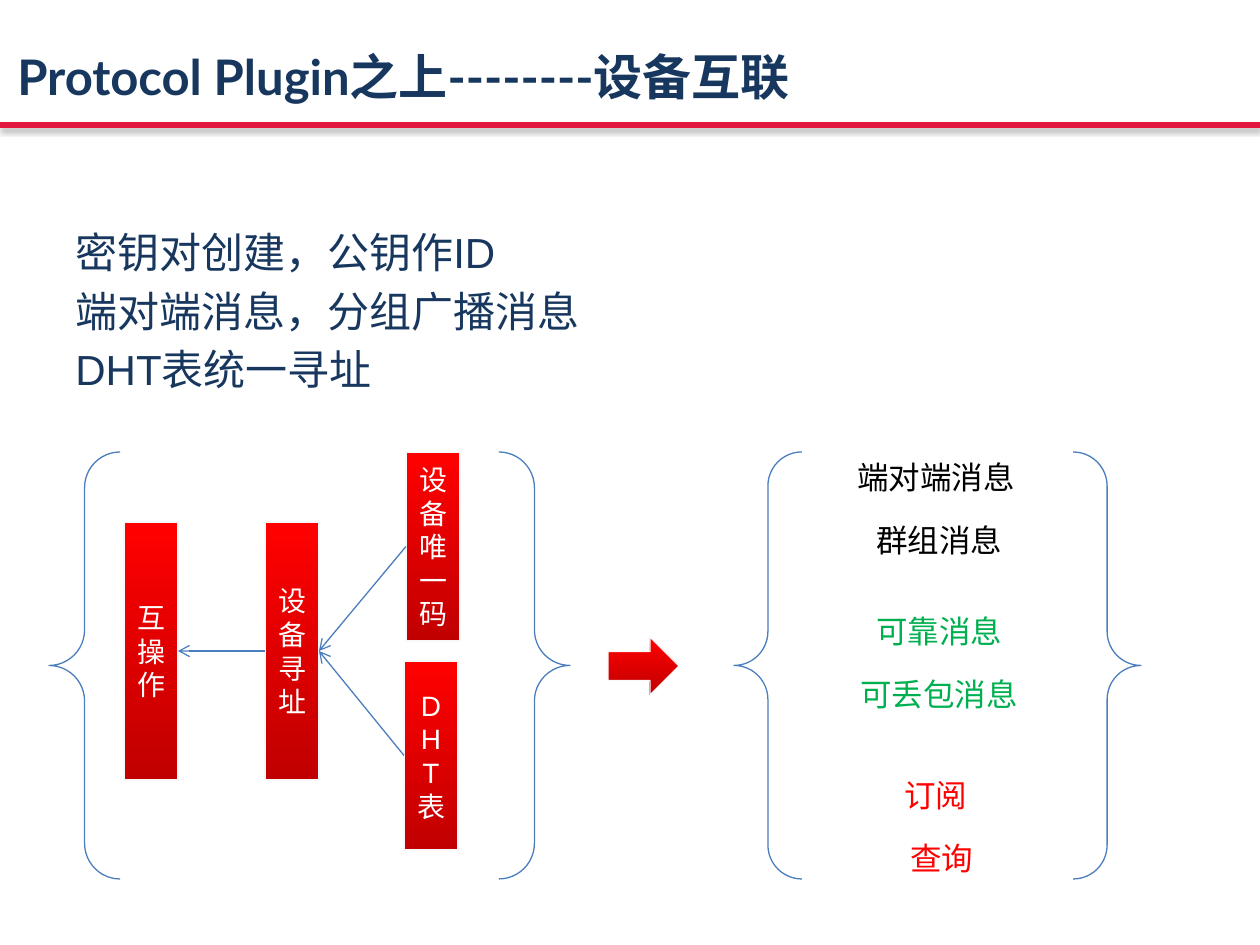
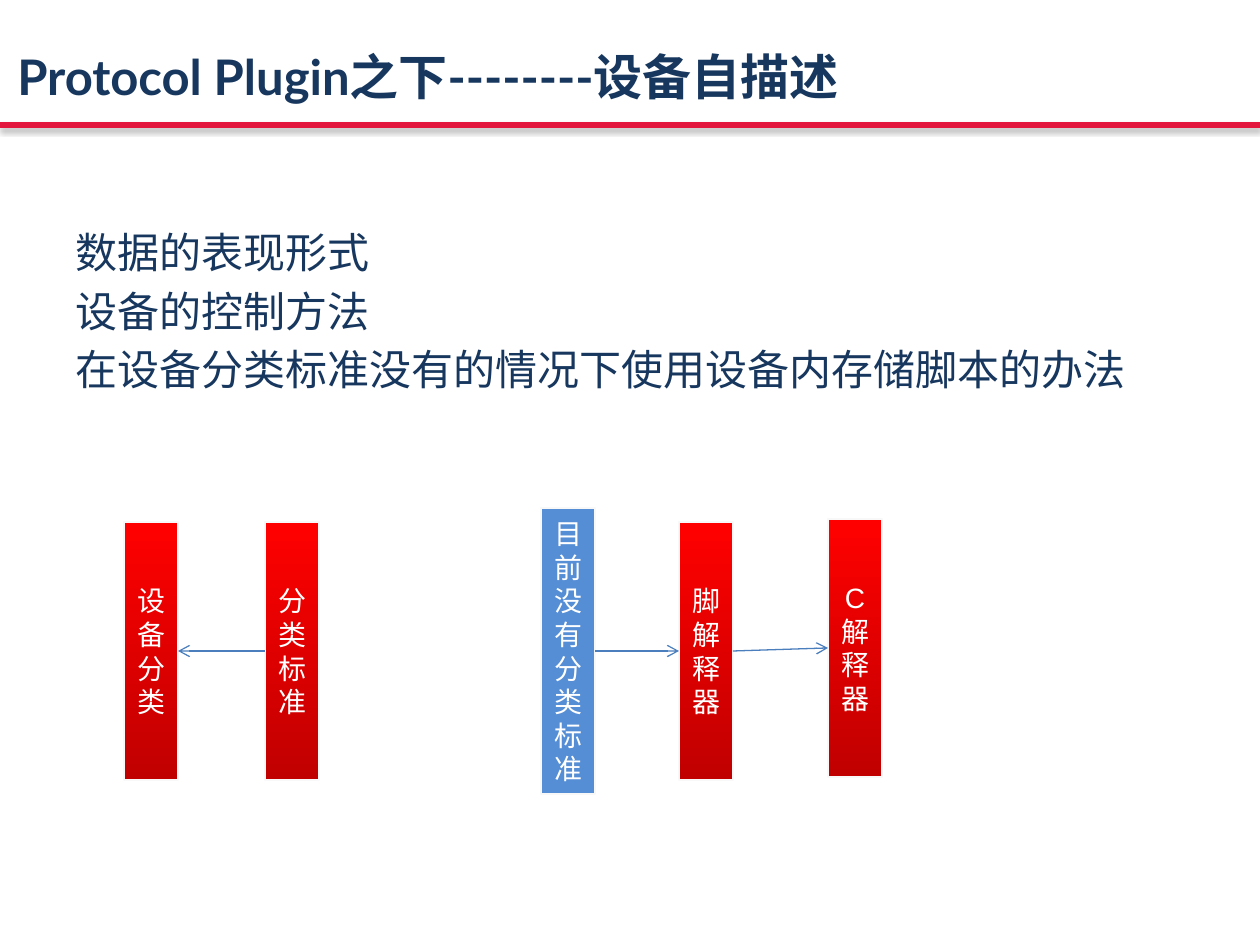
from lxml import etree
from pptx import Presentation, util as u
from pptx.dml.color import RGBColor
from pptx.enum import shapes, text
from pptx.oxml import parse_xml
from pptx.oxml.ns import nsdecls, qn

PX = u.Inches(1) / 126
NAVY, BLUE, EDGE, WHITE = "17375E", "4B7EBC", "F8F8F8", "FFFFFF"
REDS = ("FF0000", "C00000")
SHADE = (
    f'<a:effectLst {nsdecls("a")}><a:outerShdw blurRad="39370" dist="22860" dir="5400000">'
    '<a:srgbClr val="000000"><a:alpha val="35000"/></a:srgbClr></a:outerShdw></a:effectLst>'
)
FORM = shapes.MSO_SHAPE


def px(*vals):
    """Turn px lengths into EMU."""
    return [u.Emu(round(v * PX)) for v in vals]


def rgb(code):
    """Turn a hex string into a colour."""
    return RGBColor.from_string(code)


def add_run(para, words, size, color, font="Arial", bold=False):
    """Add one styled run to a paragraph."""
    run = para.add_run()
    run.text = words
    run.font.size = u.Pt(size)
    run.font.name = font
    run.font.bold = bold
    run.font.color.rgb = rgb(color)


def add_text(slide, box, lines, size, color, font="Arial", bold=False, wrap=True, gap=0):
    """Add a text box with one paragraph per line."""
    frame = slide.shapes.add_textbox(*px(*box)).text_frame
    frame.word_wrap = wrap
    for i, words in enumerate(lines):
        para = frame.add_paragraph() if i else frame.paragraphs[0]
        if i:
            para.space_before = u.Pt(gap)
        add_run(para, words, size, color, font, bold)


def add_form(slide, kind, box, fill, edge):
    """Add a shape with a plain, gradient or empty fill."""
    form = slide.shapes.add_shape(kind, *px(*box))
    form.shadow.inherit = False
    form.line.color.rgb = rgb(edge)
    form.line.width = u.Pt(0.75)
    if fill is None:
        form.fill.background()
    elif isinstance(fill, str):
        form.fill.solid()
        form.fill.fore_color.rgb = rgb(fill)
    else:
        form.fill.gradient()
        form.fill.gradient_angle = 270
        for stop, place, color in zip(form.fill.gradient_stops, (0.01, 1), fill):
            stop.position = place
            stop.color.rgb = rgb(color)
    return form


def add_bar(slide, left, top, high, words, fill=REDS):
    """Add a narrow bar whose text runs one letter per line."""
    bar = add_form(slide, FORM.RECTANGLE, (left, top, 54, high), fill, EDGE)
    frame = bar.text_frame
    frame.word_wrap = True
    frame.vertical_anchor = text.MSO_ANCHOR.MIDDLE
    para = frame.paragraphs[0]
    para.alignment = text.PP_ALIGN.CENTER
    add_run(para, words, 16, WHITE)
    return bar


def add_line(slide, ends, color, width):
    """Add a straight connector without a shadow."""
    line = slide.shapes.add_connector(shapes.MSO_CONNECTOR.STRAIGHT, *px(*ends))
    line.line.color.rgb = rgb(color)
    line.line.width = u.Pt(width)
    etree.SubElement(line._element.spPr, qn("a:effectLst"))
    return line


def add_arrow(slide, start, end):
    """Join the facing sides of two bars with an arrow."""
    sides = (1, 3) if start.left > end.left else (3, 1)
    line = add_line(slide, (0, 0, 0, 0), BLUE, 0.75)
    line.begin_connect(start, sides[0])
    line.end_connect(end, sides[1])
    etree.SubElement(line.line._get_or_add_ln(), qn("a:tailEnd"), type="arrow")


def add_page(deck, title, points):
    """Add a slide with its rule, title and points."""
    slide = deck.slides.add_slide(deck.slide_layouts[6])
    rule = add_line(slide, (0, 125, 1260, 125), "E3173E", 3)
    spot = rule._element.spPr
    spot.replace(spot.find(qn("a:effectLst")), parse_xml(SHADE))
    add_text(slide, (63, 220, 1134, 272), points, 24, NAVY, gap=4.8)
    add_text(slide, (5, 40, 932, 64), [title], 28, NAVY, "Lato", True)
    return slide


def add_link(deck):
    """Build the slide on linking devices."""
    slide = add_page(deck, "Protocol Plugin之上--------设备互联",
                     ["密钥对创建，公钥作ID", "端对端消息，分组广播消息", "DHT表统一寻址"])
    work = add_bar(slide, 124, 522, 258, "互操作")
    seek = add_bar(slide, 265, 522, 258, "设备寻址")
    code = add_bar(slide, 406, 452, 189, "设备唯一码")
    table = add_bar(slide, 404, 661, 189, "DHT表")
    add_form(slide, FORM.RIGHT_ARROW, (608, 637, 71, 58), REDS, EDGE)
    for left, wide in ((49, 521), (734, 407)):
        add_form(slide, FORM.DOUBLE_BRACE, (left, 452, wide, 427), None, BLUE)
    for start, end in ((code, seek), (table, seek), (seek, work)):
        add_arrow(slide, start, end)
    groups = (
        (452, "000000", ((845, "端对端消息"), (864, "群组消息"))),
        (606, "00B050", ((864, "可靠消息"), (848, "可丢包消息"))),
        (770, "FF0000", ((892, "订阅"), (898, "查询"))),
    )
    for top, color, items in groups:
        for i, (left, words) in enumerate(items):
            box = (left, top + 63 * i, 26 + 32 * len(words), 50)
            add_text(slide, box, [words], 18, color, wrap=False)


def add_self(deck):
    """Build the slide on devices that describe themselves."""
    slide = add_page(deck, "Protocol Plugin之下--------设备自描述",
                     ["数据的表现形式", "设备的控制方法",
                      "在设备分类标准没有的情况下使用设备内存储脚本的办法"])
    sort = add_bar(slide, 124, 522, 258, "设备分类")
    norm = add_bar(slide, 265, 522, 258, "分类标准")
    none = add_bar(slide, 541, 508, 286, "目前没有分类标准", "558ED5")
    script = add_bar(slide, 679, 522, 258, "脚解释器")
    native = add_bar(slide, 828, 519, 258, "C解释器")
    for start, end in ((norm, sort), (none, script), (script, native)):
        add_arrow(slide, start, end)


def main():
    """Build and save the deck."""
    deck = Presentation()
    deck.slide_width, deck.slide_height = px(1260, 945)
    add_link(deck)
    add_self(deck)
    deck.save("out.pptx")


if __name__ == "__main__":
    main()
